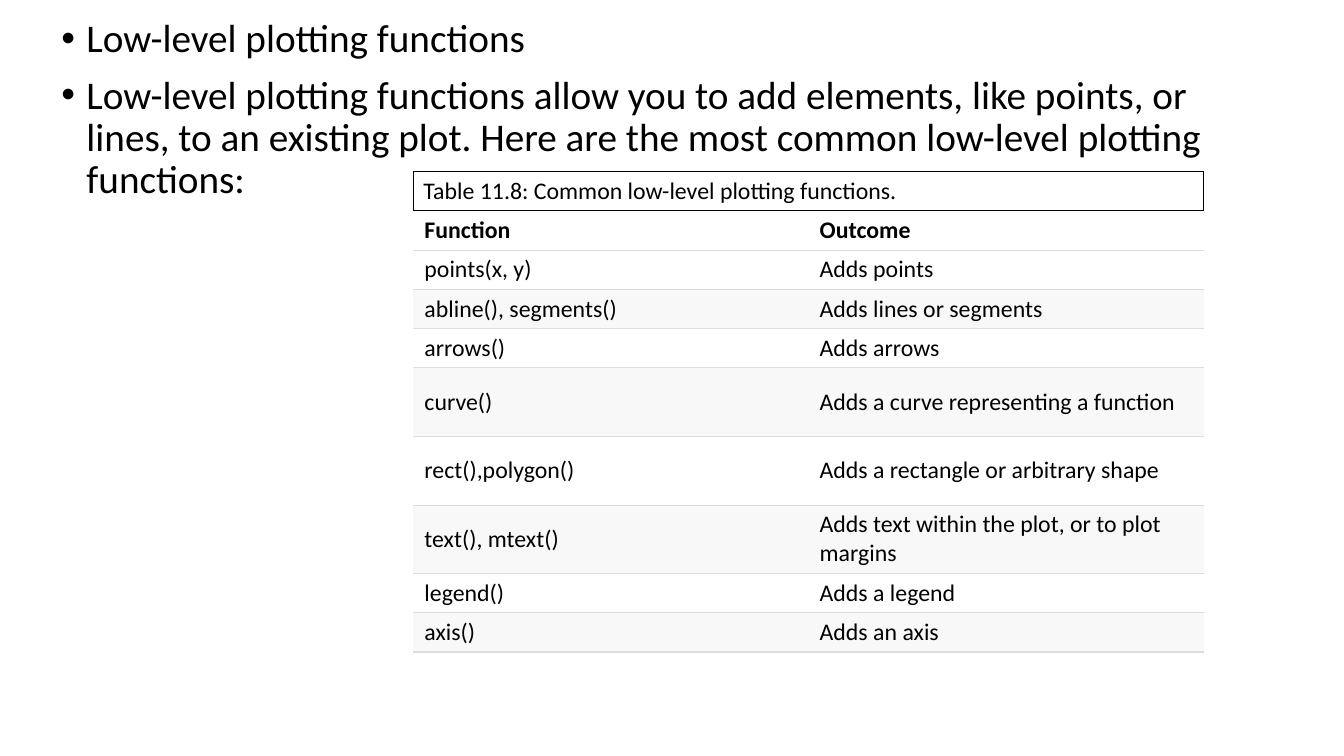
from lxml import etree
from pptx import Presentation
from pptx.dml.color import RGBColor
from pptx.enum.text import MSO_ANCHOR as Anchor
from pptx.oxml.ns import qn
from pptx.util import Inches, Pt

BLACK = RGBColor(0x00, 0x00, 0x00)
WHITE = RGBColor(0xFF, 0xFF, 0xFF)
STRIPE = RGBColor(0xF8, 0xF8, 0xF8)
RULE = RGBColor(0xDD, 0xDD, 0xDD)

BULLETS = [
    "Low-level plotting functions",
    "Low-level plotting functions allow you to add elements, like points, or lines, "
    "to an existing plot. Here are the most common low-level plotting functions:",
]
ROWS = [
    ("Table 11.8: Common low-level plotting functions.", "", 0.39),
    ("Function", "Outcome", 0.39),
    ("points(x, y)", "Adds points", 0.39),
    ("abline(), segments()", "Adds lines or segments", 0.39),
    ("arrows()", "Adds arrows", 0.39),
    ("curve()", "Adds a curve representing a function", 0.68),
    ("rect(),polygon()", "Adds a rectangle or arbitrary shape", 0.68),
    ("text(), mtext()", "Adds text within the plot, or to plot margins", 0.68),
    ("legend()", "Adds a legend", 0.39),
    ("axis()", "Adds an axis", 0.39),
]


def add_run(paragraph, text, size, bold=False):
    run = paragraph.add_run()
    run.text = text
    run.font.name = "Calibri"
    run.font.size = Pt(size)
    run.font.bold = bold
    run.font.color.rgb = BLACK


def add_border(cell, side, color, width):
    line = etree.SubElement(cell._tc.get_or_add_tcPr(), qn(f"a:ln{side}"), w=str(Pt(width)))
    if color is None:
        etree.SubElement(line, qn("a:noFill"))
    else:
        fill = etree.SubElement(line, qn("a:solidFill"))
        etree.SubElement(fill, qn("a:srgbClr"), val=str(color))


prs = Presentation()
prs.slide_width = Inches(13.33)
prs.slide_height = Inches(7.5)
slide = prs.slides.add_slide(prs.slide_layouts[6])

intro = slide.shapes.add_textbox(Inches(0.51), Inches(0.14), Inches(11.5), Inches(4.76)).text_frame
intro.word_wrap = True
for index, text in enumerate(BULLETS):
    paragraph = intro.add_paragraph() if index else intro.paragraphs[0]
    properties = paragraph._p.get_or_add_pPr()
    properties.set("marL", str(Inches(0.25)))
    properties.set("indent", str(Inches(-0.25)))
    etree.SubElement(properties, qn("a:buFont"), typeface="Arial")
    etree.SubElement(properties, qn("a:buChar"), char="•")
    paragraph.line_spacing = 0.9
    paragraph.space_before = Pt(10 if index else 0)
    add_run(paragraph, text, 28)

functions = slide.shapes.add_table(
    len(ROWS), 2, Inches(4.1), Inches(1.7), Inches(7.84), Inches(4.76)
).table
functions.first_row = False
functions.horz_banding = False
for column in functions.columns:
    column.width = Inches(3.92)
functions.cell(0, 0).merge(functions.cell(0, 1))

last = len(ROWS) - 1
for row, (name, outcome, height) in enumerate(ROWS):
    functions.rows[row].height = Inches(height)
    for column, text in enumerate((name, outcome)):
        cell = functions.cell(row, column)
        cell.vertical_anchor = Anchor.MIDDLE
        cell.margin_left = cell.margin_right = Inches(0.11 if row else 0.1)
        cell.margin_top = cell.margin_bottom = Inches(0.05)
        for side in "LR":
            add_border(cell, side, None if row else BLACK, 1)
        add_border(cell, "T", RULE if row > 1 else BLACK, 0.6 if row > 1 else 1)
        add_border(cell, "B", RULE if row else BLACK, 1.2 if row == last else 0.6 if row else 1)
        cell.fill.solid()
        cell.fill.fore_color.rgb = STRIPE if row > 1 and row % 2 else WHITE
        if text:
            add_run(cell.text_frame.paragraphs[0], text, 17, bold=row == 1)

prs.save("out.pptx")
